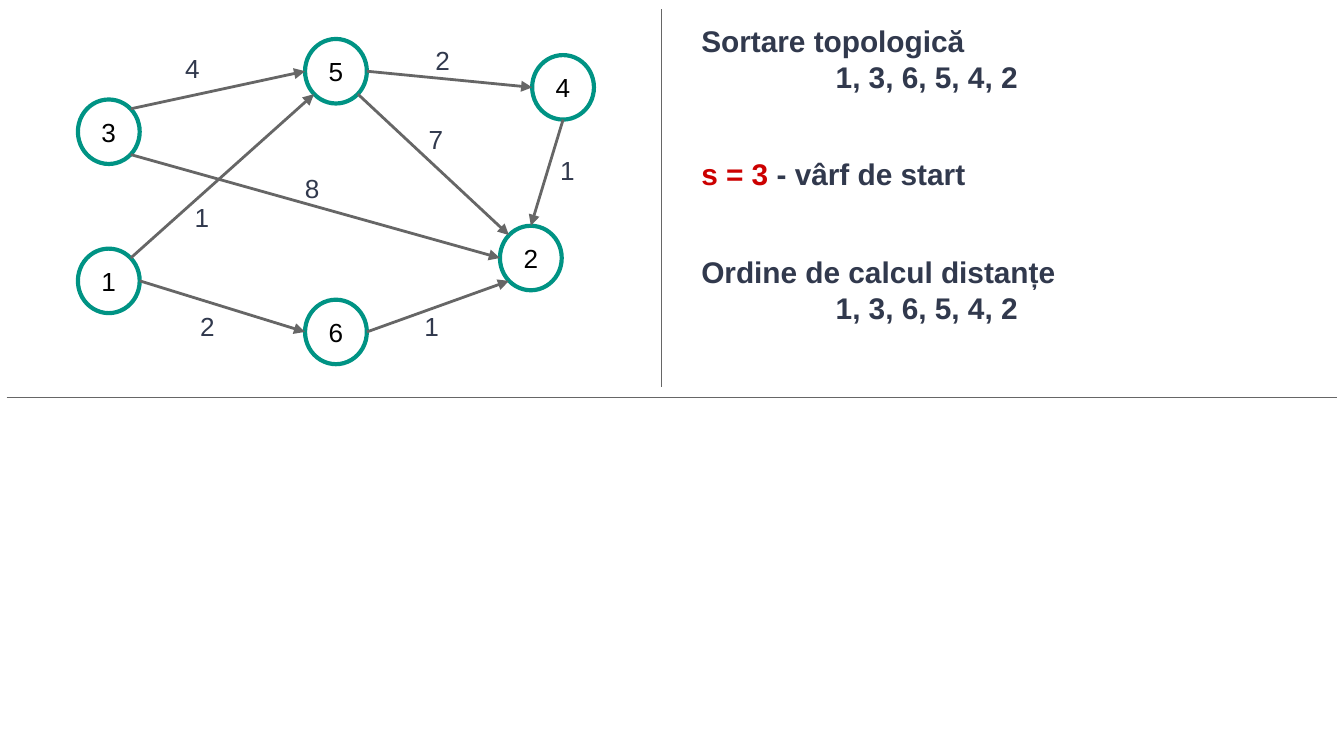
from lxml import etree
from pptx import Presentation
from pptx.dml.color import RGBColor
from pptx.enum.shapes import MSO_CONNECTOR, MSO_SHAPE
from pptx.enum.text import MSO_ANCHOR, MSO_AUTO_SIZE, PP_ALIGN
from pptx.oxml.ns import qn
from pptx.util import Pt

PX = 9144  # 100 px to the inch
SLIDE_WIDTH = 1000
STRAIGHT = MSO_CONNECTOR.STRAIGHT
OVAL = MSO_SHAPE.OVAL
MIDDLE = MSO_ANCHOR.MIDDLE
CENTER = PP_ALIGN.CENTER
GROW = MSO_AUTO_SIZE.SHAPE_TO_FIT_TEXT

FONT = "Arial"
GRAY = RGBColor(0x66, 0x66, 0x66)
TEAL = RGBColor(0x00, 0x93, 0x84)
NAVY = RGBColor(0x31, 0x39, 0x4D)
RED = RGBColor(0xCC, 0x00, 0x00)
BLACK = RGBColor(0x00, 0x00, 0x00)
WHITE = RGBColor(0xFF, 0xFF, 0xFF)

# Graph: left and top of each vertex
VERTEX_SIZE = (46, 48)
VERTICES = {
    "1": (58, 185),
    "2": (372, 168),
    "5": (227, 29),
    "6": (227, 223),
    "4": (396, 41),
    "3": (58, 74),
}
# Start vertex, side it leaves, end vertex, side it enters, weight, label position
EDGES = [
    ("3", "NE", "5", "W", "4", (128, 29)),
    ("3", "SE", "2", "W", "8", (217, 118)),
    ("1", "NE", "5", "SW", "1", (135, 140)),
    ("1", "E", "6", "W", "2", (139, 221)),
    ("6", "E", "2", "SW", "1", (306, 221)),
    ("5", "SE", "2", "NW", "7", (309, 82)),
    ("5", "E", "4", "W", "2", (314, 23)),
    ("4", "S", "2", "N", "1", (407, 105)),
]
LABEL_SIZE = (35, 44)
DIAGONAL = 0.71
SIDES = {
    "N": (0, -1), "S": (0, 1), "W": (-1, 0), "E": (1, 0),
    "NW": (-DIAGONAL, -DIAGONAL), "NE": (DIAGONAL, -DIAGONAL),
    "SW": (-DIAGONAL, DIAGONAL), "SE": (DIAGONAL, DIAGONAL),
}

# Notes: top, height, paragraphs made of (text, colour) runs
NOTES_LEFT, NOTES_WIDTH, TAB_STOP = 512, 410, 100
ORDER = "\t1, 3, 6, 5, 4, 2"
NOTES = [
    (7, 74, [[("Sortare topologică", NAVY)], [(ORDER, NAVY)]]),
    (106, 47, [[("s = 3", RED), (" - vârf de start", NAVY)]]),
    (179, 74, [[("Ordine de calcul distanțe\n" + ORDER, NAVY)]]),
]
DIVIDERS = [((5, 296), (995, 296)), ((492, 7), (492, 288))]


def emu(*lengths):
    return [round(length * PX) for length in lengths]


def add_line(slide, start, end, width, arrow=False):
    line = slide.shapes.add_connector(STRAIGHT, *emu(*start, *end))
    line.line.color.rgb = GRAY
    line.line.width = Pt(width)
    if arrow:
        outline = line.line._get_or_add_ln()
        etree.SubElement(outline, qn("a:tailEnd"), type="triangle")
    etree.SubElement(line._element.spPr, qn("a:effectLst"))


def add_break(paragraph, size):
    paragraph.add_line_break()
    etree.SubElement(paragraph._p[-1], qn("a:rPr"), sz=str(size * 100), b="1")


def add_tab_stop(paragraph):
    tabs = etree.SubElement(paragraph._p.get_or_add_pPr(), qn("a:tabLst"))
    etree.SubElement(tabs, qn("a:tab"), pos=str(TAB_STOP * PX), algn="l")


def fill_text(shape, paragraphs, size, bold=False, inset=10):
    frame = shape.text_frame
    frame.word_wrap = True
    frame.margin_left = frame.margin_right = inset * PX
    frame.margin_top = frame.margin_bottom = inset * PX
    for index, runs in enumerate(paragraphs):
        paragraph = frame.add_paragraph() if index else frame.paragraphs[0]
        if any("\t" in text for text, _ in runs):
            add_tab_stop(paragraph)
        for text, color in runs:
            for row, line in enumerate(text.split("\n")):
                if row:
                    add_break(paragraph, size)
                run = paragraph.add_run()
                run.text = line
                run.font.name = FONT
                run.font.size = Pt(size)
                run.font.bold = bold
                run.font.color.rgb = color


def add_text(slide, box, paragraphs, size, bold=False):
    shape = slide.shapes.add_textbox(*emu(*box))
    fill_text(shape, paragraphs, size, bold)
    shape.text_frame.auto_size = GROW


def add_vertex(slide, name, position):
    shape = slide.shapes.add_shape(OVAL, *emu(*position, *VERTEX_SIZE))
    shape.shadow.inherit = False
    shape.fill.solid()
    shape.fill.fore_color.rgb = WHITE
    shape.line.color.rgb = TEAL
    shape.line.width = Pt(2.25)
    fill_text(shape, [[(name, BLACK)]], 14, inset=2)
    shape.text_frame.vertical_anchor = MIDDLE
    shape.text_frame.paragraphs[0].alignment = CENTER


def rim_point(name, side):
    return [
        start + size / 2 * (1 + step)
        for start, size, step in zip(VERTICES[name], VERTEX_SIZE, SIDES[side])
    ]


def main():
    presentation = Presentation()
    presentation.slide_width = SLIDE_WIDTH * PX
    presentation.slide_height = SLIDE_WIDTH * PX * 9 // 16
    slide = presentation.slides.add_slide(presentation.slide_layouts[6])

    # Dividers
    for start, end in DIVIDERS:
        add_line(slide, start, end, 0.75)

    # Graph
    for name, position in VERTICES.items():
        add_vertex(slide, name, position)
    for source, leave, target, enter, _, _ in EDGES:
        add_line(slide, rim_point(source, leave), rim_point(target, enter), 1.5, arrow=True)

    # Notes
    for top, height, paragraphs in NOTES:
        add_text(slide, (NOTES_LEFT, top, NOTES_WIDTH, height), paragraphs, 16, bold=True)

    # Edge weights
    for *_, weight, position in EDGES:
        add_text(slide, (*position, *LABEL_SIZE), [[(weight, NAVY)]], 14)

    presentation.save("out.pptx")


if __name__ == "__main__":
    main()
